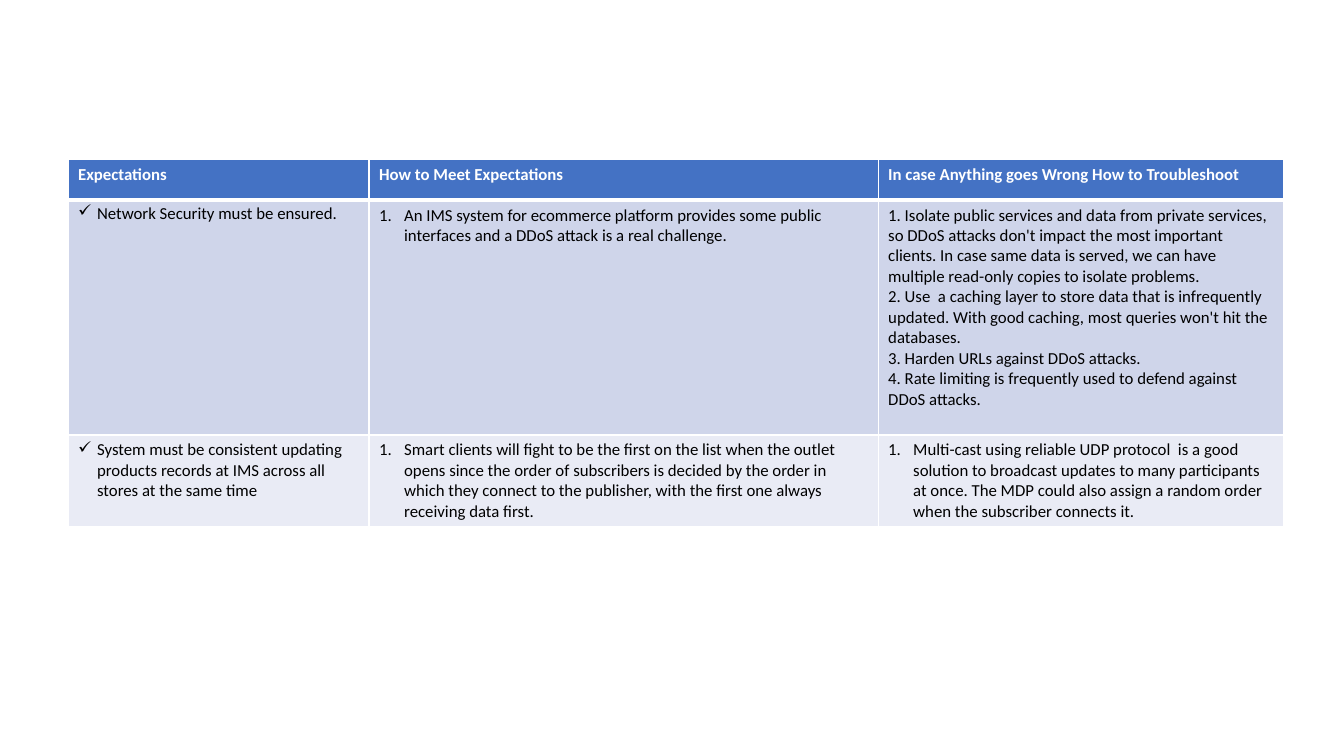
from dataclasses import dataclass
from pptx import Presentation
from pptx import util as u
from pptx.dml.color import RGBColor
from pptx.oxml import ns, xmlchemy as xc

# Content: each cell is (list kind, paragraphs)
HEAD = ["Expectations", "How to Meet Expectations",
        "In case Anything goes Wrong How to Troubleshoot"]
ROWS = [
    [("check", ["Network Security must be ensured."]),
     ("number", ["An IMS system for ecommerce platform provides some public "
                 "interfaces and a DDoS attack is a real challenge."]),
     ("plain", ["1. Isolate public services and data from private services, so "
                "DDoS attacks don't impact the most important clients. In case "
                "same data is served, we can have multiple read-only copies to "
                "isolate problems.",
                "2. Use  a caching layer to store data that is infrequently "
                "updated. With good caching, most queries won't hit the databases.",
                "3. Harden URLs against DDoS attacks.",
                "4. Rate limiting is frequently used to defend against DDoS attacks."])],
    [("check", ["System must be consistent updating products records at IMS "
                "across all stores at the same time"]),
     ("number", ["Smart clients will fight to be the first on the list when the "
                 "outlet opens since the order of subscribers is decided by the "
                 "order in which they connect to the publisher, with the first "
                 "one always receiving data first."]),
     ("number", ["Multi-cast using reliable UDP protocol  is a good solution to "
                 "broadcast updates to many participants at once. The MDP could "
                 "also assign a random order when the subscriber connects it."])],
]

# Layout in px
PX = 914400 / 100.8
LEFT, TOP = 68, 159
COLS = [301, 509, 405]
TALL = [41, 235, 92]
INDENT = {"check": 19, "number": 25}


@dataclass(frozen=True)
class Theme:
    font: str = "Calibri"
    size: int = 12
    head: str = "4472C4"
    bands: tuple = ("CFD5EA", "E9EBF5")
    light: str = "FFFFFF"
    dark: str = "000000"
    thin: int = 1
    thick: int = 3


THEME = Theme()


def emu(px):
    return u.Emu(round(px * PX))


def add(parent, tag, **attrs):
    node = xc.OxmlElement(tag)
    for key, val in attrs.items():
        node.set(key, str(val))
    parent.append(node)
    return node


def write(para, text, color=THEME.dark, bold=False, kind="plain", line=None, before=None):
    """Fill one paragraph with formatted text."""
    run = para.add_run()
    run.text = text
    font = run.font
    font.name, font.size, font.bold = THEME.font, u.Pt(THEME.size), bold
    font.color.rgb = RGBColor.from_string(color)
    if line:
        para.line_spacing = line
    if before:
        para.space_before = u.Pt(before)
    if kind in INDENT:
        props = para._p.get_or_add_pPr()
        step = emu(INDENT[kind])
        props.set("marL", str(step))
        props.set("indent", str(-step))
        if kind == "check":
            add(props, "a:buChar", char="✓")
        else:
            add(props, "a:buAutoNum", type="arabicPeriod")


def paint(cell, fill, top, low):
    """Set the borders and the fill of one cell."""
    props = cell._tc.get_or_add_tcPr()
    sides = {"L": THEME.thin, "R": THEME.thin, "T": top, "B": low}
    for side, width in sides.items():
        edge = add(props, f"a:ln{side}", w=u.Pt(width))
        add(add(edge, "a:solidFill"), "a:srgbClr", val=THEME.light)
    cell.fill.solid()
    cell.fill.fore_color.rgb = RGBColor.from_string(fill)


def main():
    deck = Presentation()
    deck.slide_width, deck.slide_height = u.Inches(13.33), u.Inches(7.5)
    slide = deck.slides.add_slide(deck.slide_layouts[6])

    # Table frame
    frame = slide.shapes.add_table(len(TALL), len(COLS), emu(LEFT), emu(TOP),
                                   emu(sum(COLS)), emu(sum(TALL)))
    table = frame.table
    for col, width in zip(table.columns, COLS):
        col.width = emu(width)
    for row, height in zip(table.rows, TALL):
        row.height = emu(height)

    # Header row
    for c, label in enumerate(HEAD):
        cell = table.cell(0, c)
        paint(cell, THEME.head, THEME.thin, THEME.thick)
        write(cell.text_frame.paragraphs[0], label, color=THEME.light, bold=True)

    # Body rows
    for r, row in enumerate(ROWS):
        for c, (kind, paras) in enumerate(row):
            cell = table.cell(r + 1, c)
            paint(cell, THEME.bands[r % 2], THEME.thin if r else THEME.thick, THEME.thin)
            frame = cell.text_frame
            tight = {"line": 0.9, "before": 10} if r == c == 0 else {}
            for i, text in enumerate(paras):
                para = frame.add_paragraph() if i else frame.paragraphs[0]
                write(para, text, kind=kind, **tight)

    deck.save("out.pptx")


if __name__ == "__main__":
    main()
